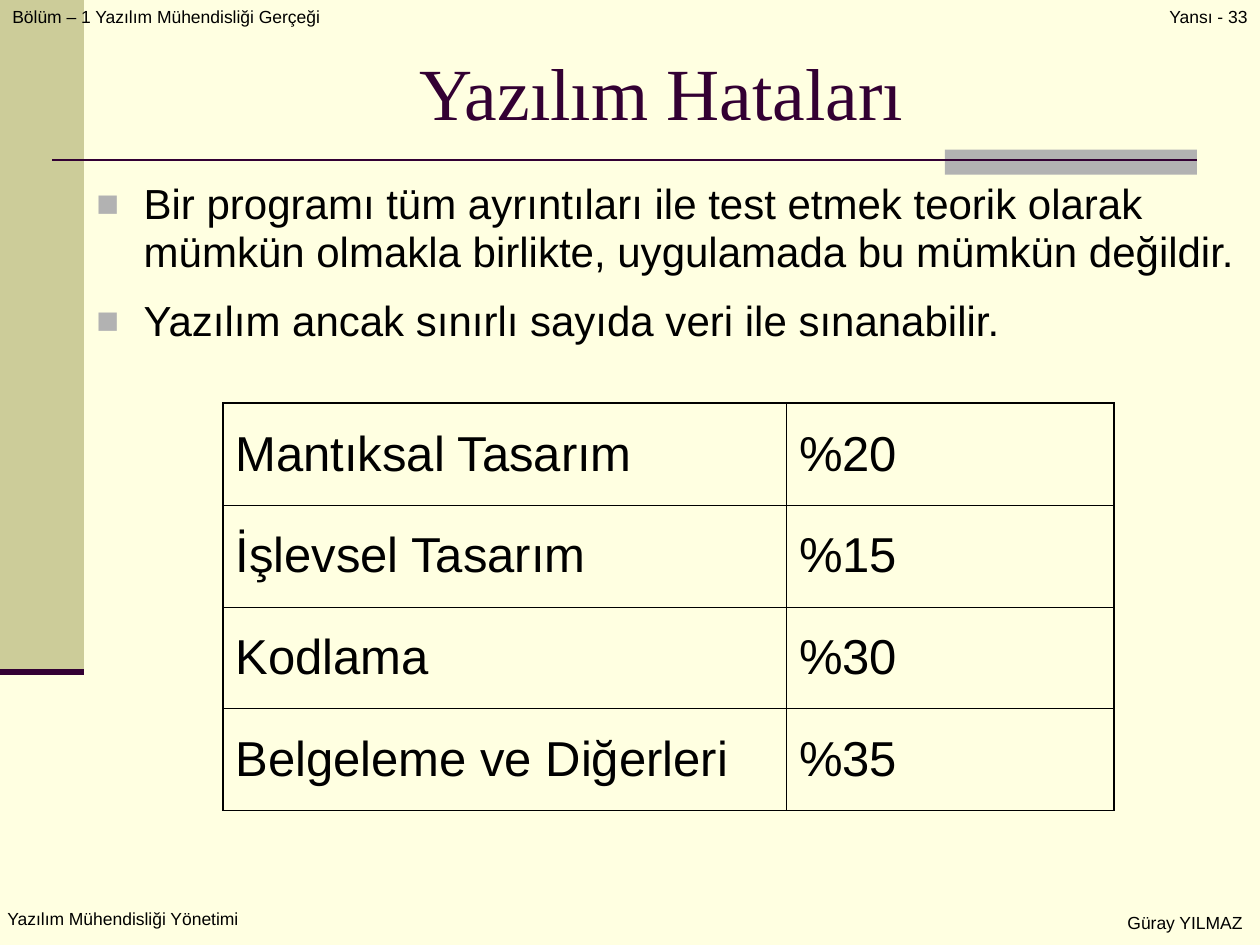
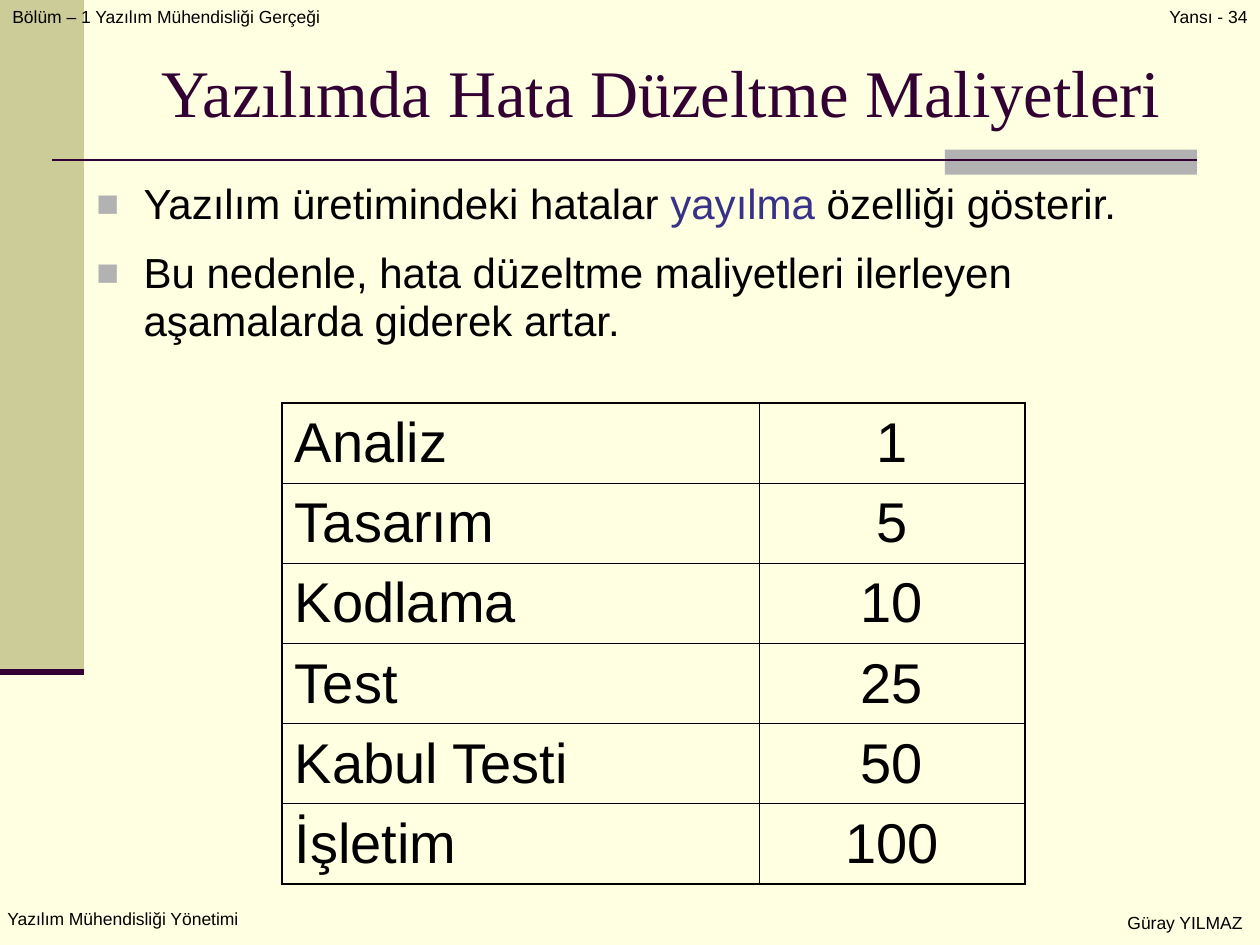
from dataclasses import dataclass

from lxml import etree
from pptx import Presentation
from pptx.dml.color import RGBColor
from pptx.enum import shapes, text
from pptx.oxml import ns
from pptx.util import Pt

LEFT, MID, RIGHT = text.PP_ALIGN.LEFT, text.PP_ALIGN.CENTER, text.PP_ALIGN.RIGHT
TOP, CENTER, BOTTOM = (text.MSO_ANCHOR.TOP, text.MSO_ANCHOR.MIDDLE,
                       text.MSO_ANCHOR.BOTTOM)


@dataclass(frozen=True)
class Theme:
    back: str = "FFFFE1"
    band: str = "CCCC99"
    gray: str = "B2B2B2"
    plum: str = "330033"
    ink: str = "000000"
    blue: str = "373187"
    sans: str = "Arial"
    serif: str = "Times New Roman"
    small: int = 10
    body: int = 24
    thick: float = 1.08
    thin: float = 0.45


def color(code):
    return RGBColor.from_string(code)


def child(node, tag, **attrs):
    return etree.SubElement(node, ns.qn(tag), attrs)


class Deck:
    def __init__(self, theme):
        self.theme = theme
        self.file = Presentation()
        self.file.slide_width, self.file.slide_height = Pt(720), Pt(540)
        self.slide = None

    def start(self, page, title, size):
        look = self.theme
        self.slide = self.file.slides.add_slide(self.file.slide_layouts[6])
        fill = self.slide.background.fill
        fill.solid()
        fill.fore_color.rgb = color(look.back)
        self.block(0, 0, 48, 384, look.band)
        self.block(540, 85.5, 144, 14.4, look.gray)
        self.line(30, 91.4, 684, 91.4, 1.5)
        self.line(0, 384, 48, 384, 3.5)
        self.label(0, 0, 235.5, 36, "Bölüm – 1 Yazılım Mühendisliği Gerçeği")
        self.label(-2.9, 492.5, 156.2, 42, "Yazılım Mühendisliği Yönetimi",
                   anchor=BOTTOM)
        self.label(483, 494.8, 234, 42, "Güray YILMAZ", RIGHT, BOTTOM)
        self.label(655.2, 0, 70.6, 36, f"Yansı - {page}", MID)
        frame = self.box(72, 21.6, 612, 61.2, CENTER)
        para = frame.paragraphs[0]
        para.alignment = MID
        self.run(para, title, size, look.plum, look.serif)

    def block(self, x, y, wide, high, code):
        shape = self.slide.shapes.add_shape(
            shapes.MSO_SHAPE.RECTANGLE, Pt(x), Pt(y), Pt(wide), Pt(high))
        shape.shadow.inherit = False
        shape.fill.solid()
        shape.fill.fore_color.rgb = color(code)
        shape.line.fill.background()

    def line(self, x, y, end_x, end_y, width):
        rule = self.slide.shapes.add_connector(
            shapes.MSO_CONNECTOR.STRAIGHT, Pt(x), Pt(y), Pt(end_x), Pt(end_y))
        rule.line.color.rgb = color(self.theme.plum)
        rule.line.width = Pt(width)
        child(rule._element.spPr, "a:effectLst")

    def box(self, x, y, wide, high, anchor=TOP):
        frame = self.slide.shapes.add_textbox(
            Pt(x), Pt(y), Pt(wide), Pt(high)).text_frame
        frame.word_wrap = True
        frame.vertical_anchor = anchor
        return frame

    def run(self, para, words, size, code=None, face=None):
        run = para.add_run()
        run.text = words
        run.font.size = Pt(size)
        run.font.name = face or self.theme.sans
        run.font.color.rgb = color(code or self.theme.ink)

    def label(self, x, y, wide, high, words, align=LEFT, anchor=TOP):
        para = self.box(x, y, wide, high, anchor).paragraphs[0]
        para.alignment = align
        self.run(para, words, self.theme.small)

    def points(self, wide, items):
        look = self.theme
        frame = self.box(48, 100, wide, 124.6)
        for index, item in enumerate(items):
            para = frame.add_paragraph() if index else frame.paragraphs[0]
            props = para._p.get_or_add_pPr()
            props.set("marL", str(Pt(27)))
            props.set("indent", str(Pt(-27)))
            child(child(props, "a:buClr"), "a:srgbClr", val=look.gray)
            child(props, "a:buSzPct", val="90000")
            child(props, "a:buFont", typeface=look.sans)
            child(props, "a:buChar", char="■")
            para.line_spacing = 0.95
            if index:
                para.space_before = Pt(12)
            for words, code in item:
                self.run(para, words, look.body, code)

    def edge(self, cell, side, width):
        rule = child(cell._tc.get_or_add_tcPr(), f"a:ln{side}",
                     w=str(Pt(width)))
        child(child(rule, "a:solidFill"), "a:srgbClr", val=self.theme.ink)

    def table(self, x, cols, high, size, rows, align=LEFT):
        look = self.theme
        grid = self.slide.shapes.add_table(
            len(rows), len(cols), Pt(x), Pt(230.4), Pt(sum(cols)),
            Pt(high * len(rows))).table
        grid.first_row = grid.horz_banding = False
        for col, wide in zip(grid.columns, cols):
            col.width = Pt(wide)
        for r, row in enumerate(rows):
            grid.rows[r].height = Pt(high)
            for c, words in enumerate(row):
                cell = grid.cell(r, c)
                cell.vertical_anchor = CENTER
                outer = {"L": c == 0, "R": c == len(cols) - 1,
                         "T": r == 0, "B": r == len(rows) - 1}
                for side, rim in outer.items():
                    self.edge(cell, side, look.thick if rim else look.thin)
                cell.fill.background()
                para = cell.text_frame.paragraphs[0]
                para.alignment = align if c else LEFT
                self.run(para, words, size)


def main():
    theme = Theme()
    deck = Deck(theme)

    deck.start(33, "Yazılım Hataları", 42)
    deck.table(127.4, (322, 187.2), 58.2, 28, [
        ("Mantıksal Tasarım", "%20"),
        ("İşlevsel Tasarım", "%15"),
        ("Kodlama", "%30"),
        ("Belgeleme ve Diğerleri", "%35"),
    ])
    deck.points(672, [
        [("Bir programı tüm ayrıntıları ile test etmek teorik olarak mümkün "
          "olmakla birlikte, uygulamada bu mümkün değildir.", theme.ink)],
        [("Yazılım ancak sınırlı sayıda veri ile sınanabilir.", theme.ink)],
    ])

    deck.start(34, "Yazılımda Hata Düzeltme Maliyetleri", 38)
    deck.table(161.3, (272.4, 152), 45.8, 32, [
        ("Analiz", "1"),
        ("Tasarım", "5"),
        ("Kodlama", "10"),
        ("Test", "25"),
        ("Kabul Testi", "50"),
        ("İşletim", "100"),
    ], MID)
    deck.points(640.8, [
        [("Yazılım üretimindeki hatalar ", theme.ink),
         ("yayılma", theme.blue),
         (" özelliği gösterir.", theme.ink)],
        [("Bu nedenle, hata düzeltme maliyetleri ilerleyen aşamalarda "
          "giderek artar.", theme.ink)],
    ])

    deck.file.save("out.pptx")


if __name__ == "__main__":
    main()
